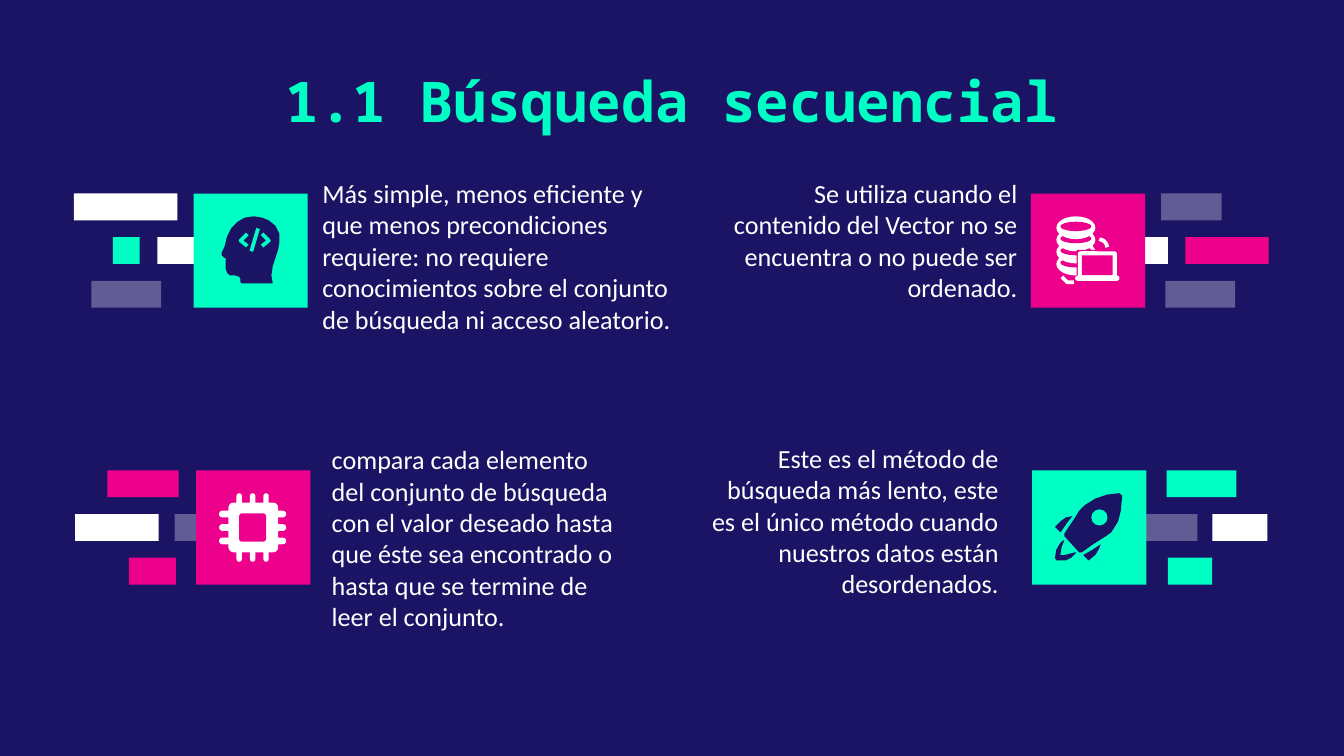
"""Build the sequential search slide: four square icons with bars and notes."""
from lxml.etree import SubElement
from pptx import Presentation
from pptx.dml.color import RGBColor
from pptx.enum.shapes import MSO_SHAPE
from pptx.enum.text import MSO_ANCHOR, PP_ALIGN
from pptx.oxml.ns import qn
from pptx.util import Inches, Pt

NAVY, TEAL, PINK, WHITE = "1B1464", "00FFC5", "EC008C", "FFFFFF"
RECT, ROUND, OVAL = MSO_SHAPE.RECTANGLE, MSO_SHAPE.ROUNDED_RECTANGLE, MSO_SHAPE.OVAL
SQUARE, BAR_H, BAR_PITCH = 0.85, 0.2, 0.325
FADED = 31

TITLE = "1.1 Búsqueda secuencial"
NOTES = [
    (5.3, 1.32, 2.37, 1.09, PP_ALIGN.RIGHT,
     "Se utiliza cuando el contenido del Vector no se encuentra o no puede ser ordenado."),
    (2.37, 3.3, 2.37, 1.51, PP_ALIGN.LEFT,
     "compara cada elemento del conjunto de búsqueda con el valor deseado hasta que "
     "éste sea encontrado o hasta que se termine de leer el conjunto."),
    (5.16, 3.29, 2.37, 1.27, PP_ALIGN.RIGHT,
     "Este es el método de búsqueda más lento, este es el único método cuando nuestros "
     "datos están desordenados."),
    (2.3, 1.32, 2.86, 1.27, PP_ALIGN.LEFT,
     "Más simple, menos eficiente y que menos precondiciones requiere: no requiere "
     "conocimientos sobre el conjunto de búsqueda ni acceso aleatorio."),
]
# Each bar: row, left, width, colour, opacity
BLOCKS = [
    (1.44, 1.44, TEAL, [(0, 0.55, 0.77, WHITE, 100), (1, 0.84, 0.2, TEAL, 100),
                        (1, 1.17, 0.35, WHITE, 100), (2, 0.68, 0.52, WHITE, FADED)]),
    (7.67, 1.44, PINK, [(0, 8.64, 0.45, WHITE, FADED), (1, 8.45, 0.24, WHITE, 100),
                        (1, 8.82, 0.62, PINK, 100), (2, 8.67, 0.52, WHITE, FADED)]),
    (1.46, 3.5, PINK, [(0, 0.8, 0.53, PINK, 100), (1, 0.56, 0.62, WHITE, 100),
                       (1, 1.3, 0.24, WHITE, FADED), (2, 0.96, 0.35, PINK, 100)]),
    (7.68, 3.5, TEAL, [(0, 8.68, 0.52, TEAL, 100), (1, 8.46, 0.45, WHITE, FADED),
                       (1, 9.02, 0.41, WHITE, 100), (2, 8.69, 0.33, TEAL, 100)]),
]
HEAD = [(1.89, 1.61), (1.82, 1.62), (1.77, 1.65), (1.72, 1.7), (1.69, 1.76), (1.68, 1.8),
        (1.67, 1.84), (1.65, 1.88), (1.65, 1.9), (1.67, 1.92), (1.68, 1.92), (1.68, 2),
        (1.69, 2.03), (1.71, 2.05), (1.75, 2.05), (1.78, 2.06), (1.79, 2.08), (1.79, 2.1),
        (1.8, 2.11), (2.03, 2.11), (2.02, 2.05), (2.03, 1.98), (2.05, 1.92), (2.07, 1.86),
        (2.08, 1.8), (2.08, 1.74), (2.05, 1.68), (2, 1.64), (1.95, 1.62)]
CODE_MARKS = [[(1.84, 1.74), (1.79, 1.79), (1.84, 1.83)],
              [(1.95, 1.74), (2, 1.79), (1.95, 1.83)],
              [(1.92, 1.7), (1.87, 1.87)]]
SYNC_ARCS = [[(8.18, 1.78), (8.21, 1.79), (8.23, 1.81), (8.24, 1.84)],
             [(7.9, 2.06), (7.92, 2.08), (7.94, 2.1), (7.96, 2.1), (7.99, 2.1)]]
ROCKET = [
    [(8.33, 3.67), (8.24, 3.68), (8.15, 3.71), (8.07, 3.76), (8.03, 3.8), (8, 3.85),
     (7.92, 3.97), (7.92, 3.99), (8.03, 4.11), (8.05, 4.11), (8.12, 4.06), (8.18, 4.02),
     (8.23, 3.99), (8.27, 3.96), (8.32, 3.88), (8.34, 3.8), (8.35, 3.69), (8.34, 3.68)],
    [(7.98, 3.84), (7.93, 3.85), (7.89, 3.88), (7.85, 3.92), (7.89, 3.96), (7.9, 3.95),
     (7.94, 3.89)],
    [(8.19, 4.05), (8.13, 4.09), (8.06, 4.13), (8.1, 4.17), (8.15, 4.13), (8.18, 4.08)],
    [(7.91, 4.02), (7.89, 4.04), (7.86, 4.09), (7.85, 4.15), (7.86, 4.17), (7.93, 4.17),
     (7.97, 4.15), (8.01, 4.11), (8, 4.11), (7.92, 4.13), (7.89, 4.13), (7.9, 4.07),
     (7.92, 4.02)],
]


def rgb(color):
    """Turn a hex string into a colour."""
    return RGBColor.from_string(color)


def add_block(s, kind, x, y, w, h, color, opacity=100, corner=None):
    """Add a filled preset shape without outline."""
    sp = s.shapes.add_shape(kind, Inches(x), Inches(y), Inches(w), Inches(h))
    sp.shadow.inherit = False
    sp.fill.solid()
    sp.fill.fore_color.rgb = rgb(color)
    sp.line.fill.background()
    if corner is not None:
        sp.adjustments[0] = corner
    if opacity < 100:
        clr = sp.element.spPr.find(qn("a:solidFill"))[0]
        SubElement(clr, qn("a:alpha"), val=str(opacity * 1000))


def add_outline(s, points, color, stroke=None):
    """Add a filled polygon, or an open line when a stroke width is given."""
    start, *rest = [(Inches(x), Inches(y)) for x, y in points]
    builder = s.shapes.build_freeform(*start)
    builder.add_line_segments(rest, close=stroke is None)
    sp = builder.convert_to_shape()
    sp.shadow.inherit = False
    if stroke is None:
        sp.fill.solid()
        sp.fill.fore_color.rgb = rgb(color)
        sp.line.fill.background()
    else:
        sp.fill.background()
        sp.line.color.rgb = rgb(color)
        sp.line.width = Pt(stroke)


def add_text(s, x, y, w, h, text, align, font, size, color, bold=False):
    """Add a wrapped text box and return its frame."""
    tf = s.shapes.add_textbox(Inches(x), Inches(y), Inches(w), Inches(h)).text_frame
    tf.word_wrap = True
    tf.margin_left = tf.margin_right = tf.margin_bottom = Inches(0.1)
    tf.margin_top = 0
    p = tf.paragraphs[0]
    p.text, p.alignment = text, align
    p.font.name, p.font.size, p.font.bold = font, Pt(size), bold
    p.font.color.rgb = rgb(color)
    return tf


def draw_head(s):
    """Draw the head with code marks."""
    add_outline(s, HEAD, NAVY)
    for mark in CODE_MARKS:
        add_outline(s, mark, TEAL, 2)


def draw_database(s):
    """Draw the stacked discs and the laptop."""
    for tier in reversed(range(4)):
        y = 1.61 + 0.09 * tier
        add_block(s, OVAL, 7.86, y, 0.29, 0.17, WHITE)
        add_block(s, OVAL, 7.89, y + 0.04, 0.23, 0.07, PINK)
    add_block(s, RECT, 8.01, 1.86, 0.15, 0.2, PINK)
    add_block(s, ROUND, 8.02, 1.87, 0.29, 0.2, WHITE, corner=0.1)
    add_block(s, RECT, 8.05, 1.9, 0.23, 0.15, PINK)
    add_block(s, ROUND, 8, 2.05, 0.33, 0.04, WHITE, corner=0.5)
    for arc in SYNC_ARCS:
        add_outline(s, arc, WHITE, 2)


def draw_chip(s):
    """Draw the chip with three pins each way."""
    for i in range(3):
        add_block(s, ROUND, 1.76 + 0.1 * i, 3.67, 0.04, 0.51, WHITE, corner=0.5)
        add_block(s, ROUND, 1.63, 3.8 + 0.1 * i, 0.5, 0.05, WHITE, corner=0.5)
    add_block(s, ROUND, 1.7, 3.74, 0.37, 0.37, WHITE, corner=0.1)
    add_block(s, ROUND, 1.78, 3.82, 0.2, 0.21, PINK, corner=0.1)


def draw_rocket(s):
    """Draw the rocket and its window."""
    for part in ROCKET:
        add_outline(s, part, NAVY)
    add_block(s, OVAL, 8.12, 3.79, 0.12, 0.12, TEAL)


def main():
    """Assemble and save the slide."""
    prs = Presentation()
    prs.slide_width = Inches(10)
    prs.slide_height = prs.slide_width * 9 // 16
    s = prs.slides.add_slide(prs.slide_layouts[6])
    s.background.fill.solid()
    s.background.fill.fore_color.rgb = rgb(NAVY)
    tf = add_text(s, 1.4, 0.38, 7.2, 0.73, TITLE, PP_ALIGN.CENTER, "Noto Sans Mono", 30,
                  TEAL, bold=True)
    tf.margin_top = tf.margin_bottom = Inches(0.07)
    tf.vertical_anchor = MSO_ANCHOR.MIDDLE
    for x, y, color, bars in BLOCKS:
        for row, left, width, bar_color, opacity in bars:
            add_block(s, RECT, left, y + row * BAR_PITCH, width, BAR_H, bar_color, opacity)
        add_block(s, RECT, x, y, SQUARE, SQUARE, color)
    for x, y, w, h, align, text in NOTES:
        add_text(s, x, y, w, h, text, align, "Calibri", 14, WHITE)
    for draw in (draw_head, draw_database, draw_chip, draw_rocket):
        draw(s)
    prs.save("out.pptx")


if __name__ == "__main__":
    main()
